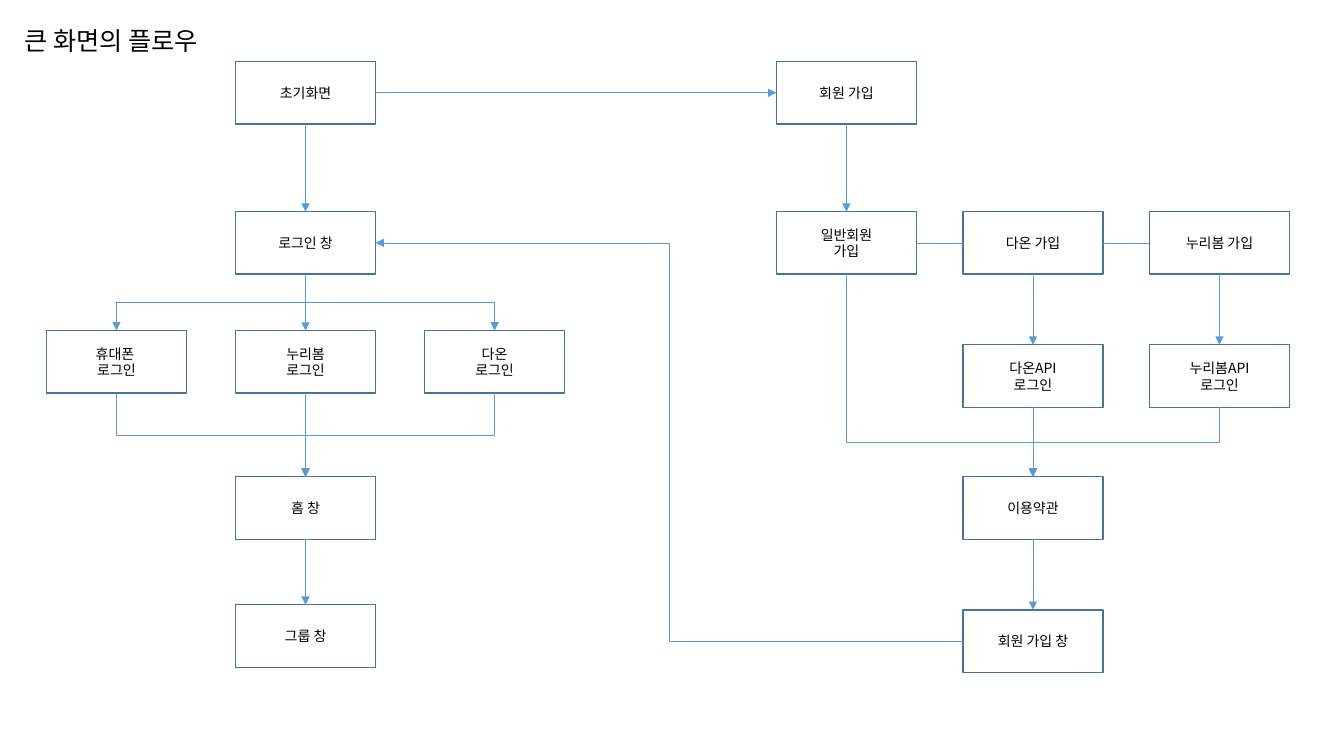
from lxml.etree import SubElement
from pptx import Presentation
from pptx.dml.color import RGBColor
from pptx.enum.shapes import MSO_CONNECTOR as CONN, MSO_SHAPE as SHAPE
from pptx.enum.text import MSO_ANCHOR as ANCHOR, MSO_AUTO_SIZE as FIT, PP_ALIGN as ALIGN
from pptx.oxml.ns import qn
from pptx.util import Inches, Pt

WHITE = RGBColor(0xFF, 0xFF, 0xFF)
BLACK = RGBColor(0x00, 0x00, 0x00)
BORDER = RGBColor(0x43, 0x73, 0x9E)
FLOW = RGBColor(0x5B, 0x9B, 0xD5)
FONT = "Noto Sans CJK KR"

BOX_W, BOX_H = 1.39, 0.62
COLS = [0.46 + 1.875 * i for i in range(3)] + [7.7 + 1.85 * i for i in range(3)]
ROWS = {"start": 0.61, "entry": 2.1, "login": 3.28, "api": 3.42,
        "merge": 4.73, "group": 6.0, "done": 6.05}
TOP, LEFT, BOTTOM, RIGHT = range(4)

BOXES = {
    "start": (1, "start", "초기화면"),
    "join": (3, "start", "회원 가입"),
    "login": (1, "entry", "로그인 창"),
    "member_join": (3, "entry", "일반회원\n가입"),
    "daon_join": (4, "entry", "다온 가입"),
    "nuri_join": (5, "entry", "누리봄 가입"),
    "phone_login": (0, "login", "휴대폰 \n로그인"),
    "nuri_login": (1, "login", "누리봄\n로그인"),
    "daon_login": (2, "login", "다온\n로그인"),
    "daon_api": (4, "api", "다온API\n로그인"),
    "nuri_api": (5, "api", "누리봄API\n로그인"),
    "home": (1, "merge", "홈 창"),
    "terms": (4, "merge", "이용약관"),
    "group": (1, "group", "그룹 창"),
    "join_form": (4, "done", "회원 가입 창"),
}
DOWN = [("start", "login"), ("join", "member_join"), ("login", "nuri_login"),
        ("nuri_login", "home"), ("home", "group"), ("daon_join", "daon_api"),
        ("nuri_join", "nuri_api"), ("daon_api", "terms"), ("terms", "join_form")]
BENDS = [("login", "phone_login", 0.5), ("login", "daon_login", 0.5),
         ("phone_login", "home", 0.5), ("daon_login", "home", 0.5),
         ("member_join", "terms", 0.83), ("nuri_api", "terms", 0.5)]
SIDE_LINKS = [("member_join", "daon_join"), ("daon_join", "nuri_join")]


def apply(obj, values):
    """Set each attribute of obj from a dict."""
    for name, value in values.items():
        setattr(obj, name, value)


def write(tf, text, size, align):
    """Fill a text frame, one paragraph per line of text."""
    tf.text = text
    for p in tf.paragraphs:
        p.alignment = align
        for r in p.runs:
            apply(r.font, {"name": FONT, "size": Pt(size)})
            r.font.color.rgb = BLACK
            SubElement(r.font._element, qn("a:ea"), typeface=FONT)


def add_title(slide, text):
    """Place and format the title placeholder."""
    sp = slide.shapes.title
    apply(sp, {"left": Inches(0.14), "top": Inches(0.2),
               "width": Inches(2.15), "height": Inches(0.4)})
    apply(sp.text_frame, {"word_wrap": False, "auto_size": FIT.NONE,
                          "vertical_anchor": ANCHOR.MIDDLE})
    write(sp.text_frame, text, 18, ALIGN.LEFT)


def add_box(slide, col, row, text):
    """Add a screen box at a grid column and a named row."""
    place = (COLS[col], ROWS[row], BOX_W, BOX_H)
    sp = slide.shapes.add_shape(SHAPE.RECTANGLE, *map(Inches, place))
    sp.shadow.inherit = False
    sp.fill.solid()
    sp.fill.fore_color.rgb = WHITE
    sp.line.color.rgb = BORDER
    sp.line.width = Pt(1)
    sp.text_frame.vertical_anchor = ANCHOR.MIDDLE
    write(sp.text_frame, text, 10, ALIGN.CENTER)
    return sp


def link(slide, source, target, sites, kind=CONN.STRAIGHT, arrow=True):
    """Join two boxes at the given connection sites."""
    line = slide.shapes.add_connector(kind, 0, 0, 0, 0)
    line.begin_connect(source, sites[0])
    line.end_connect(target, sites[1])
    line.line.color.rgb = FLOW
    line.line.width = Pt(0.5)
    if arrow:
        SubElement(line.line._get_or_add_ln(), qn("a:tailEnd"), type="triangle")
    SubElement(line._element.spPr, qn("a:effectLst"))
    return line


def bend_down(slide, source, target, share):
    """Add a down-across-down link that turns at a share of its height."""
    line = link(slide, source, target, (BOTTOM, TOP), CONN.ELBOW)
    dx, dy = line.end_x - line.begin_x, line.end_y - line.begin_y
    cx, cy = line.begin_x + dx // 2, line.begin_y + dy // 2
    side = 1 if dx > 0 else -1
    half_w, half_h = side * dy // 2, abs(dx) // 2
    apply(line, {"begin_x": cx + half_w, "begin_y": cy - half_h,
                 "end_x": cx - half_w, "end_y": cy + half_h})
    spPr = line._element.spPr
    spPr.find(qn("a:xfrm")).set("rot", str((270 if side > 0 else 90) * 60000))
    guides = spPr.find(qn("a:prstGeom")).find(qn("a:avLst"))
    SubElement(guides, qn("a:gd"), name="adj1", fmla=f"val {round(share * 100000)}")


def main():
    """Build the screen flow slide."""
    prs = Presentation()
    apply(prs, {"slide_width": Inches(13.33), "slide_height": Inches(7.5)})
    slide = prs.slides.add_slide(prs.slide_layouts[5])
    add_title(slide, "큰 화면의 플로우")
    box = {name: add_box(slide, *cell) for name, cell in BOXES.items()}
    for a, b in DOWN:
        link(slide, box[a], box[b], (BOTTOM, TOP))
    for a, b, share in BENDS:
        bend_down(slide, box[a], box[b], share)
    for a, b in SIDE_LINKS:
        link(slide, box[a], box[b], (RIGHT, LEFT), arrow=False)
    link(slide, box["start"], box["join"], (RIGHT, LEFT))
    link(slide, box["join_form"], box["login"], (LEFT, RIGHT), CONN.ELBOW)
    prs.save("out.pptx")


main()
